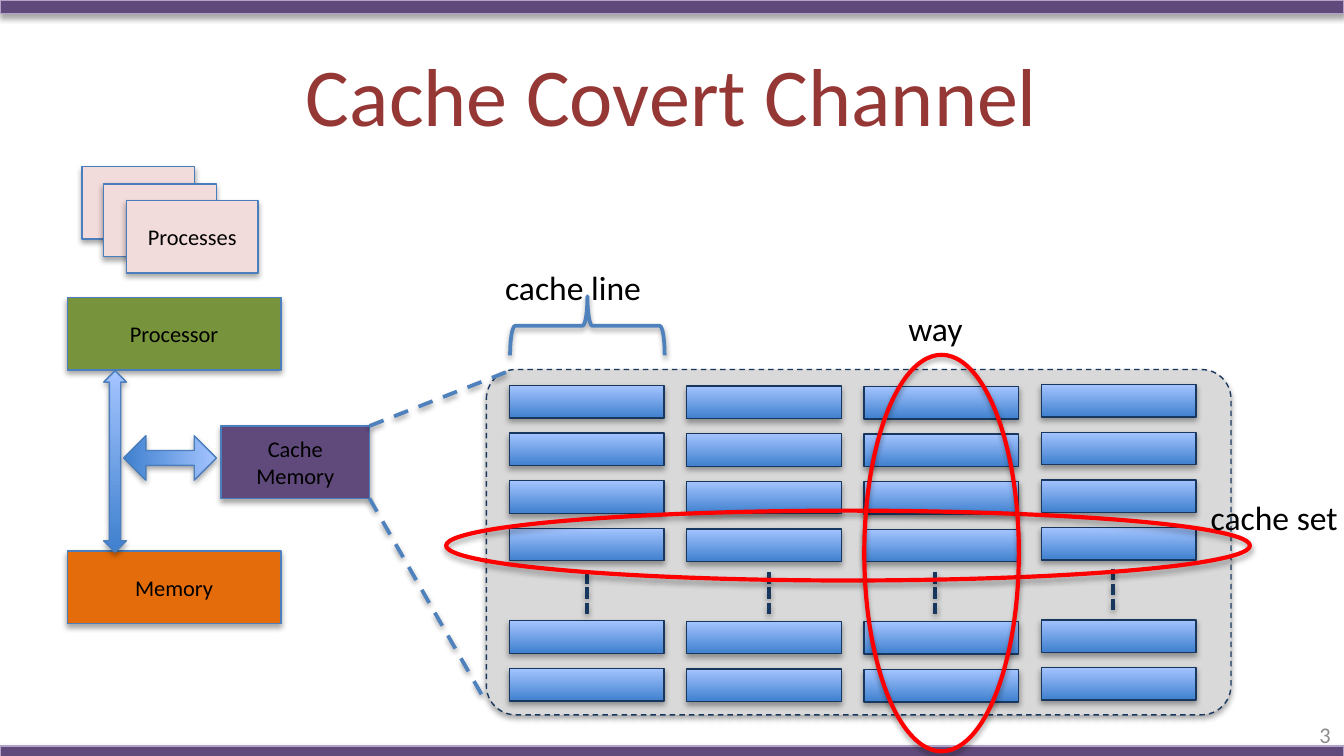
from lxml import etree
from pptx import Presentation
from pptx.dml.color import RGBColor
from pptx.enum.dml import MSO_LINE
from pptx.enum.shapes import MSO_CONNECTOR, MSO_SHAPE
from pptx.enum.text import MSO_ANCHOR, PP_ALIGN
from pptx.oxml.ns import qn
from pptx.util import Pt

RECTANGLE, ROUNDED = MSO_SHAPE.RECTANGLE, MSO_SHAPE.ROUNDED_RECTANGLE
OVAL, BRACE = MSO_SHAPE.OVAL, MSO_SHAPE.LEFT_BRACE
DOUBLE_ARROW = MSO_SHAPE.UP_DOWN_ARROW
STRAIGHT = MSO_CONNECTOR.STRAIGHT
DASH, SQUARE_DOT = MSO_LINE.DASH, MSO_LINE.SQUARE_DOT
LEFT, CENTER, RIGHT = PP_ALIGN.LEFT, PP_ALIGN.CENTER, PP_ALIGN.RIGHT
TOP, MIDDLE = MSO_ANCHOR.TOP, MSO_ANCHOR.MIDDLE

PURPLE = RGBColor(0x60, 0x4A, 0x7B)
LILAC = RGBColor(0xB3, 0xA2, 0xC7)
GRAY = RGBColor(0xD9, 0xD9, 0xD9)
NUMBER_GRAY = RGBColor(0x8C, 0x8C, 0x8C)
NAVY = RGBColor(0x17, 0x37, 0x5E)
BLUE = RGBColor(0x4F, 0x81, 0xBD)
OUTLINE_BLUE = RGBColor(0x4B, 0x7E, 0xBC)
DEEP_BLUE = RGBColor(0x3F, 0x80, 0xCE)
PALE_BLUE = RGBColor(0xA4, 0xC4, 0xFF)
MAROON = RGBColor(0x95, 0x37, 0x35)
RED = RGBColor(0xFF, 0x00, 0x00)
PINK = RGBColor(0xF2, 0xDC, 0xDB)
GREEN = RGBColor(0x77, 0x93, 0x3C)
ORANGE = RGBColor(0xE4, 0x6C, 0x0A)
BLACK = RGBColor(0x00, 0x00, 0x00)
GRADIENT = (DEEP_BLUE, PALE_BLUE)


def add_shadow(shape, distance=1.8, opacity=35):
    """Give a shape or connector a soft shadow below it."""
    effects = etree.SubElement(shape._element.spPr, qn("a:effectLst"))
    shadow = etree.SubElement(
        effects, qn("a:outerShdw"), blurRad=str(Pt(3.1)), dist=str(Pt(distance)),
        dir="5400000", rotWithShape="0")
    color = etree.SubElement(shadow, qn("a:srgbClr"), val="000000")
    etree.SubElement(color, qn("a:alpha"), val=str(opacity * 1000))


def write_text(shape, text, size=12, color=BLACK, align=CENTER, anchor=MIDDLE, wrap=True):
    """Write one paragraph per line of text into a shape."""
    frame = shape.text_frame
    frame.word_wrap = wrap
    frame.vertical_anchor = anchor
    frame.text = text
    for paragraph in frame.paragraphs:
        paragraph.alignment = align
        paragraph.font.size = Pt(size)
        paragraph.font.name = "Calibri"
        paragraph.font.color.rgb = color


def add_label(slide, box, text, **text_format):
    """Add a text box."""
    write_text(slide.shapes.add_textbox(*map(Pt, box)), text, **text_format)


def add_block(slide, kind, box, fill=None, line=OUTLINE_BLUE, width=0.75, dash=None, rotation=0):
    """Add a shadowed preset shape with a plain, gradient or empty fill."""
    shape = slide.shapes.add_shape(kind, *map(Pt, box))
    shape.rotation = rotation
    if fill is None:
        shape.fill.background()
    elif fill is GRADIENT:
        shape.fill.gradient()
        shape.fill.gradient_angle = 90
        for stop, color in zip(shape.fill.gradient_stops, GRADIENT):
            stop.color.rgb = color
    else:
        shape.fill.solid()
        shape.fill.fore_color.rgb = fill
    shape.line.color.rgb = line
    shape.line.width = Pt(width)
    if dash:
        shape.line.dash_style = dash
    add_shadow(shape)
    return shape


def add_dashed_line(slide, start, end, color, dash):
    """Add a shadowed dashed straight connector."""
    line = slide.shapes.add_connector(STRAIGHT, *map(Pt, start + end))
    line.line.color.rgb = color
    line.line.width = Pt(2)
    line.line.dash_style = dash
    add_shadow(line, distance=1.6, opacity=38)


def add_frame(slide, left, top, width, height):
    """Add the edge bars, the title and the slide number."""
    for bar_top in (top, top + height - 5.4):
        add_block(slide, RECTANGLE, (left, bar_top, width, 7.2), PURPLE, LILAC)
    add_label(slide, (left + 36, top + 16.6, width - 72, 67.7), "Cache Covert Channel",
              size=44, color=MAROON)
    add_label(slide, (left + width - 168, top + 383, 168, 21.6), "3",
              size=12, color=NUMBER_GRAY, align=RIGHT)


def add_cache(slide, left, top, width, height):
    """Add the panel of cache lines in four ways and six sets."""
    panel = add_block(slide, ROUNDED, (left, top, width, height), GRAY, NAVY, dash=DASH)
    panel.adjustments[0] = 0.085
    row_offsets = [8.6 + 25.5 * row for row in range(4)] + [134.6, 160.2]
    column_shifts = (0, 0.3, 0.5, -0.5)
    for row_offset in row_offsets:
        for column, shift in enumerate(column_shifts):
            cell_left = left + 12.3 + 95 * column
            add_block(slide, RECTANGLE, (cell_left, top + row_offset + shift, 82.8, 17.4),
                      GRADIENT, NAVY)
    for offset, drop in ((54, 108.7), (151.2, 108.7), (240.5, 108.7), (335.6, 106.6)):
        x, y = left + offset, top + drop
        add_dashed_line(slide, (x, y), (x, y + 23.8), NAVY, SQUARE_DOT)


def add_cache_terms(slide, left, top, width, height):
    """Mark a cache line, a cache set and a way on the cache panel."""
    add_block(slide, BRACE, (left + 38.2, top - 64.8, 31.7, 82.8), line=BLUE, width=2, rotation=90)
    add_block(slide, OVAL, (left - 21.6, top + 75.6, width + 31.7, 37.4), line=RED, width=2.25)
    add_block(slide, OVAL, (left + 202.4, top - 7.9, 82.8, height + 27.4), line=RED, width=2.25)
    terms = (("cache line", 2.9, -58.3, 88.6), ("cache set", 380.9, 64.8, 83.5),
             ("way", 218.9, -36.7, 44.6))
    for text, offset, drop, label_width in terms:
        add_label(slide, (left + offset, top + drop, label_width, 28.8), text,
                  size=18, align=LEFT, anchor=TOP, wrap=False)


def add_system(slide, left, top, width, height):
    """Add the processes, processor, cache and memory with their arrows."""
    block_height = 38.9
    blocks = (
        ("", 7.9, 0, 60.5, PINK),
        ("", 19.4, 9.2, 60.5, PINK),
        ("Processes", 31.7, 18.1, 70.6, PINK),
        ("Processor", 0, 70, 114.5, GREEN),
        ("Memory", 0, height - block_height, 114.5, ORANGE),
        ("Cache\nMemory", width - 79.5, 139, 79.5, PURPLE),
    )
    for text, offset, drop, block_width, fill in blocks:
        block = add_block(slide, RECTANGLE,
                          (left + offset, top + drop, block_width, block_height), fill)
        if text:
            write_text(block, text)
    add_block(slide, DOUBLE_ARROW, (left + 19.6, top + 109.3, 12.2, 97.2), GRADIENT)
    cache_arrow = add_block(slide, DOUBLE_ARROW, (left + 43.2, top + 131.2, 23.8, 49.7),
                            GRADIENT, rotation=90)
    cache_arrow.adjustments[0] = 0.103
    cache_arrow.adjustments[1] = 0.335


def add_zoom_lines(slide, left, top, width, height):
    """Join the cache block on the left to the cache panel on the right."""
    right, bottom = left + width, top + height
    add_dashed_line(slide, (left, top + 29.5), (right + 12.3, top), BLUE, DASH)
    add_dashed_line(slide, (left, top + 68.4), (right, bottom), BLUE, DASH)


def main():
    """Build and save the slide."""
    presentation = Presentation()
    presentation.slide_width, presentation.slide_height = Pt(720), Pt(405)
    slide = presentation.slides.add_slide(presentation.slide_layouts[6])
    cache_box = (260.6, 198, 398.9, 185)
    add_frame(slide, 0, 0, 720, 405)
    add_cache(slide, *cache_box)
    add_cache_terms(slide, *cache_box)
    add_system(slide, 36, 89.3, 162, 244.8)
    add_zoom_lines(slide, 198, 198.7, 62.6, 177.9)
    presentation.save("out.pptx")


if __name__ == "__main__":
    main()
